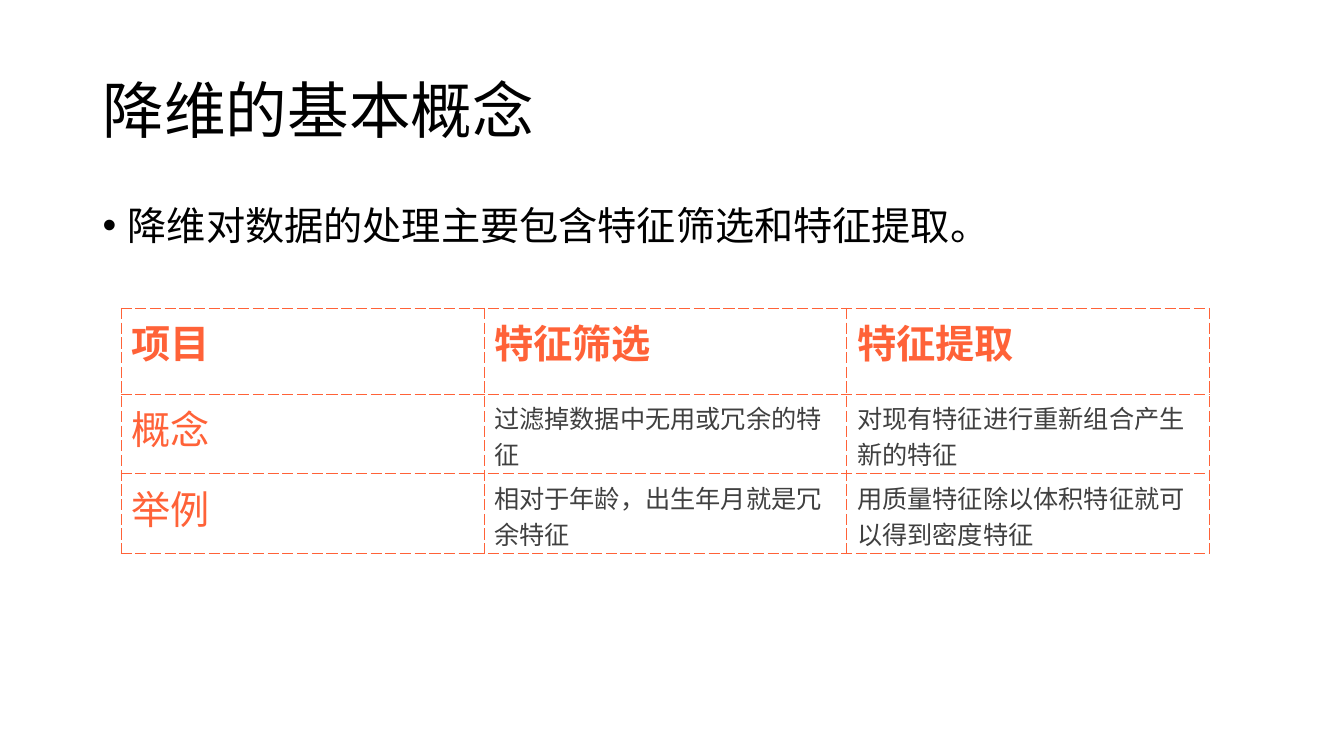
from dataclasses import dataclass

from lxml.etree import SubElement
from pptx import Presentation
from pptx.dml.color import RGBColor
from pptx.enum.text import MSO_ANCHOR as Anchor, PP_ALIGN as Align
from pptx.oxml.ns import qn
from pptx.util import Inches, Pt


@dataclass(frozen=True)
class Theme:
    font: str = "Noto Sans CJK SC"
    text: str = "000000"
    muted: str = "404040"
    accent: str = "FF6238"
    paper: str = "FFFFFF"
    title_size: int = 44
    body_size: int = 28
    cell_size: int = 18
    border_width: float = 0.75


THEME = Theme()

TITLE = "降维的基本概念"
SUMMARY = "降维对数据的处理主要包含特征筛选和特征提取。"
COMPARISON = [
    ["项目", "特征筛选", "特征提取"],
    ["概念", "过滤掉数据中无用或冗余的特征", "对现有特征进行重新组合产生新的特征"],
    ["举例", "相对于年龄，出生年月就是冗余特征", "用质量特征除以体积特征就可以得到密度特征"],
]
ROW_HEIGHTS = [0.85, 0.79, 0.79]


def write_text(paragraph, text, size, color, bold=False):
    run = paragraph.add_run()
    run.text = text
    run.font.color.rgb = RGBColor.from_string(color)
    font_format = {"name": THEME.font, "size": Pt(size), "bold": bold}
    for name, value in font_format.items():
        setattr(run.font, name, value)
    # Chinese characters take the East Asian typeface.
    SubElement(run.font._element, qn("a:ea"), typeface=THEME.font)


def add_text_area(slide, box, anchor):
    """Add a wrapping text box and return its first paragraph."""
    shape = slide.shapes.add_textbox(*map(Inches, box))
    shape.text_frame.word_wrap = True
    shape.text_frame.vertical_anchor = anchor
    paragraph = shape.text_frame.paragraphs[0]
    paragraph.line_spacing = 0.9
    return paragraph


def add_title(slide, box):
    paragraph = add_text_area(slide, box, Anchor.MIDDLE)
    write_text(paragraph, TITLE, THEME.title_size, THEME.text)


def add_summary(slide, box):
    paragraph = add_text_area(slide, box, Anchor.TOP)
    paragraph.space_before = Pt(10)
    properties = paragraph._p.get_or_add_pPr()
    indent = Inches(0.25)
    properties.set("marL", str(indent))
    properties.set("indent", str(-indent))
    SubElement(properties, qn("a:buFont"), typeface="Arial")
    SubElement(properties, qn("a:buChar"), char="•")
    write_text(paragraph, SUMMARY, THEME.body_size, THEME.text)


def add_dashed_borders(cell):
    properties = cell._tc.get_or_add_tcPr()
    for side in ("lnL", "lnR", "lnT", "lnB"):
        line = SubElement(properties, qn(f"a:{side}"), w=str(Pt(THEME.border_width)))
        fill = SubElement(line, qn("a:solidFill"))
        SubElement(fill, qn("a:srgbClr"), val=THEME.accent)
        SubElement(line, qn("a:prstDash"), val="sysDash")


def add_comparison(slide, box):
    left, top, width, height = map(Inches, box)
    row_count, column_count = len(COMPARISON), len(COMPARISON[0])
    table = slide.shapes.add_table(
        row_count, column_count, left, top, width, height
    ).table
    table.first_row = table.horz_banding = False
    for column in table.columns:
        column.width = width // column_count

    for row_index, row_texts in enumerate(COMPARISON):
        table.rows[row_index].height = Inches(ROW_HEIGHTS[row_index])
        for column_index, text in enumerate(row_texts):
            cell = table.cell(row_index, column_index)
            add_dashed_borders(cell)
            cell.fill.solid()
            cell.fill.fore_color.rgb = RGBColor.from_string(THEME.paper)

            is_header = row_index == 0
            is_label = is_header or column_index == 0
            size = THEME.body_size if is_label else THEME.cell_size
            color = THEME.accent if is_label else THEME.muted
            paragraph = cell.text_frame.paragraphs[0]
            paragraph.alignment = Align.JUSTIFY if is_header else Align.LEFT
            write_text(paragraph, text, size, color, bold=is_header)


def main():
    presentation = Presentation()
    presentation.slide_width = Inches(13.33)
    presentation.slide_height = Inches(7.5)
    slide = presentation.slides.add_slide(presentation.slide_layouts[6])
    add_summary(slide, (0.92, 2, 11.5, 4.76))
    add_comparison(slide, (1.2, 3.06, 10.8, sum(ROW_HEIGHTS)))
    add_title(slide, (0.92, 0.4, 11.5, 1.45))
    presentation.save("out.pptx")


if __name__ == "__main__":
    main()
